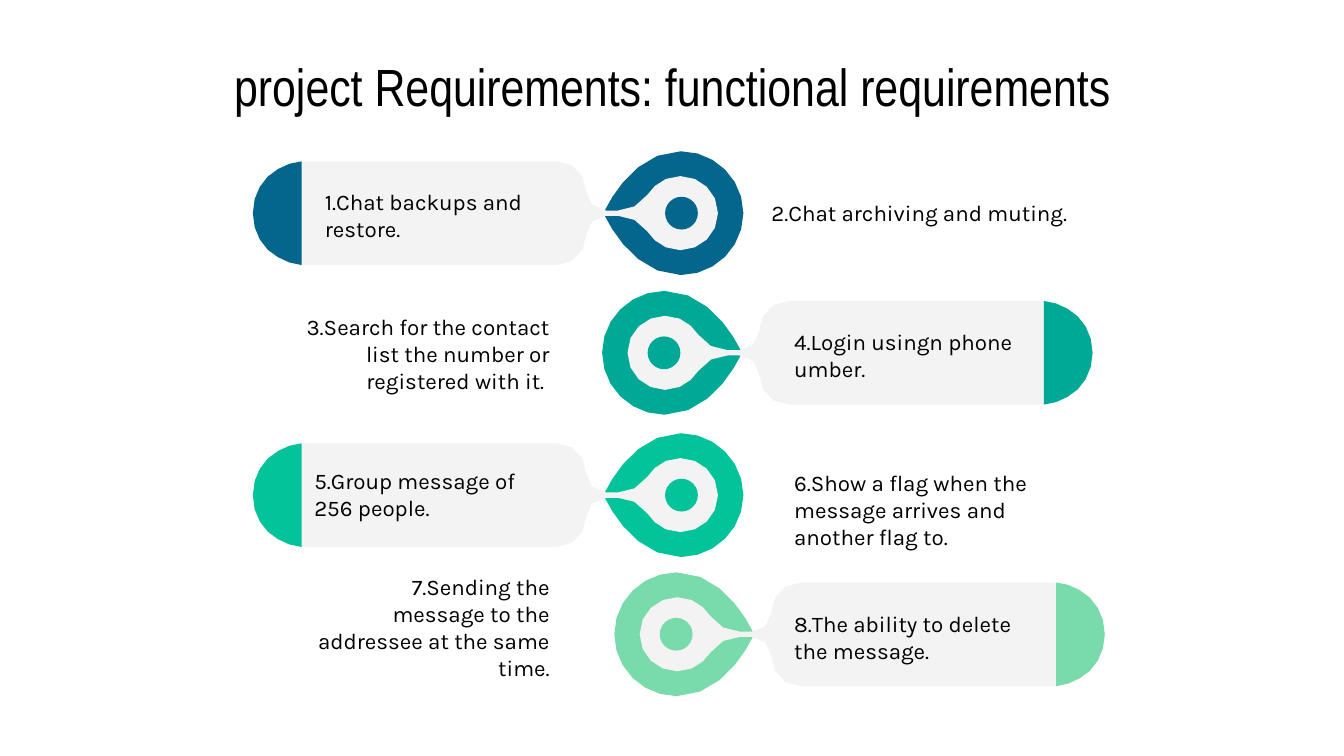
import math

from pptx import Presentation
from pptx.dml.color import RGBColor
from pptx.enum import shapes, text
from pptx.util import Cm, Pt

BLACK = RGBColor(0x00, 0x00, 0x00)
GREY = RGBColor(0xF3, 0xF3, 0xF3)
BLUE = RGBColor(0x05, 0x66, 0x8D)
TEAL = RGBColor(0x00, 0xA8, 0x96)
GREEN = RGBColor(0x02, 0xC3, 0x9A)
MINT = RGBColor(0x79, 0xDB, 0xAC)
LEFT, MID, RIGHT = text.PP_ALIGN.LEFT, text.PP_ALIGN.CENTER, text.PP_ALIGN.RIGHT

# Upper halves of the outlines in cm: distance from the outer edge, height from the axis.
# One point is a straight line, three points are a Bezier curve.
DROP = [[(6.63, 0)],
        [(6.63, 0), (7.12, -1.17), (8.09, -1.17)],
        [(8.74, -1.17), (9.27, -0.64), (9.27, 0)]]
BAND = [[(0, 0)],
        [(0, -0.28), (0.11, -0.52), (0.28, -0.69)],
        [(0.46, -0.87), (0.71, -0.98), (0.99, -0.98)],
        [(5.74, -0.98)],
        [(6.07, -0.98), (6.3, -0.72), (6.3, -0.41)],
        [(6.3, -0.22), (6.47, -0.05), (6.67, -0.05)],
        [(6.9, -0.05)],
        [(7.13, -0.05), (7.32, -0.16), (7.45, -0.34)],
        [(7.57, -0.52), (7.77, -0.7), (8.08, -0.7)],
        [(8.46, -0.7), (8.79, -0.4), (8.79, 0)]]
CAP = BAND[:2] + [[(0.46, -0.85), (0.68, -0.96), (0.92, -0.98)]]
DOT, RAD = 8.1, 0.31

prs = Presentation()
prs.slide_width, prs.slide_height = Cm(25.4), Cm(14.29)
slide = prs.slides.add_slide(prs.slide_layouts[6])


def trace(half):
    """Sample the upper half, longer curves finer, and mirror it below the axis."""
    pts = []
    for seg in half:
        if len(seg) == 1:
            pts += seg
            continue
        a, (b, c, d) = pts[-1], seg
        steps = min(6, max(2, round(4 * math.dist(a, d))))
        for i in range(1, steps + 1):
            t = i / steps
            s = 1 - t
            pts.append(tuple(s**3 * a[k] + 3 * s * s * t * b[k]
                             + 3 * s * t * t * c[k] + t**3 * d[k] for k in (0, 1)))
    return pts + [(x, -y) for x, y in reversed(pts) if y]


def write(words, x, y, w, h, align, size=12, font="Karla"):
    box = slide.shapes.add_textbox(Cm(x), Cm(y), Cm(w), Cm(h))
    frame = box.text_frame
    frame.word_wrap = True
    frame.vertical_anchor = text.MSO_ANCHOR.MIDDLE
    frame.margin_left = frame.margin_right = Cm(0.25)
    frame.margin_top = frame.margin_bottom = Cm(0.25)
    frame.text = words
    para = frame.paragraphs[0]
    para.alignment = align
    style = para.runs[0].font
    style.size, style.name, style.color.rgb = Pt(size), font, BLACK


# Title
write("project Requirements: functional requirements",
      1.27, 1.14, 22.86, 0.94, MID, 28, "Arial Narrow")

# Rows: outer edge, direction to the drop, axis height, colour
rows = [(4.78, 1, 4.03, BLUE), (20.65, -1, 6.67, TEAL),
        (4.78, 1, 9.36, GREEN), (20.88, -1, 11.99, MINT)]
for edge, way, mid, hue in rows:
    parts = []
    for half, fill in ((DROP, hue), (BAND, GREY), (CAP, hue)):
        pts = [(Cm(edge + way * x), Cm(mid + y)) for x, y in trace(half)]
        pen = slide.shapes.build_freeform(*pts[0])
        pen.add_line_segments(pts[1:], close=True)
        parts.append((pen.convert_to_shape(), fill))
    dot = slide.shapes.add_shape(
        shapes.MSO_SHAPE.OVAL, Cm(edge + way * DOT - RAD), Cm(mid - RAD),
        Cm(2 * RAD), Cm(2 * RAD))
    parts.append((dot, hue))
    for part, fill in parts:
        part.fill.solid()
        part.fill.fore_color.rgb = fill
        part.line.fill.background()
        part.shadow.inherit = False

# Requirements
notes = [
    ("1.Chat backups and restore.", 5.89, 3.66, 4.75, 0.81, LEFT),
    ("2.Chat archiving and muting.", 14.33, 3.4, 6.32, 1.24, LEFT),
    ("3.Search for the contact list the number or registered with it. ",
     5.36, 6.07, 5.28, 1.22, RIGHT),
    ("4.Login usingn phone umber.", 14.76, 6.15, 4.98, 1.14, LEFT),
    ("5.Group message of 256 people.", 5.69, 8.99, 4.95, 0.69, LEFT),
    ("6.Show a flag when the message arrives and another flag to.",
     14.76, 8.74, 4.98, 1.78, LEFT),
    ("7.Sending the message to the addressee at the same time.",
     5.69, 11.23, 4.95, 1.24, RIGHT),
    ("8.The ability to delete the message.", 14.76, 11.61, 4.98, 0.86, LEFT),
]
for note in notes:
    write(*note)

prs.save("out.pptx")
